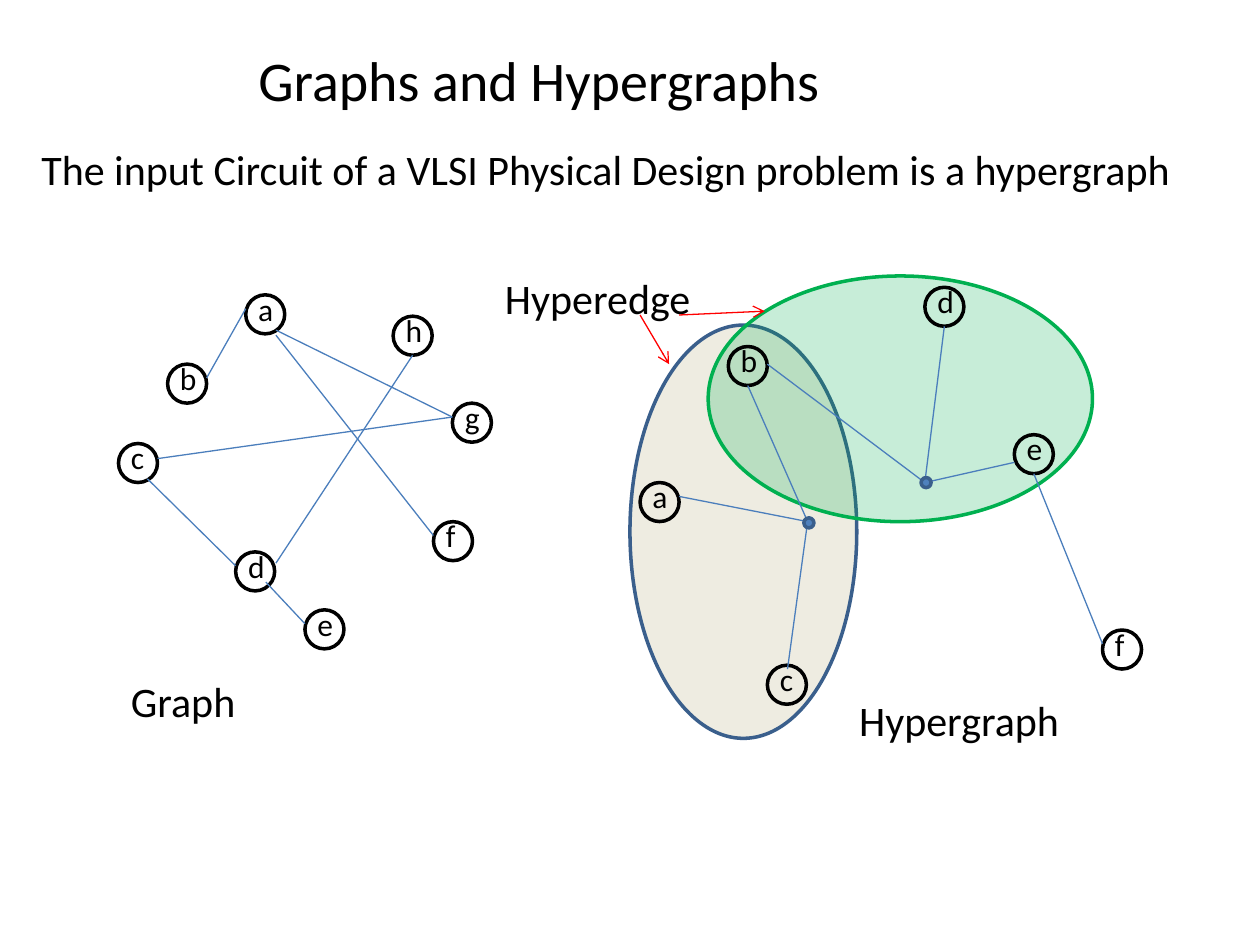
from typing import NamedTuple, Optional, Union

from pptx import Presentation
from pptx import util as u
from pptx.dml.color import RGBColor
from pptx.enum import shapes, text
from pptx.oxml.ns import qn
from lxml import etree

FONT = "Calibri"
BLACK, RED, GREEN = "000000", "FF0000", "00B050"
EDGE_BLUE, OUTLINE_BLUE, DOT_BLUE, SAND = "4B7EBC", "3A5F8C", "4F81BD", "EEECE1"
NODE_SIZE = 0.31
LABEL_RISE = 0.09
LABEL_HEIGHT = 0.4
DOT_SIZE = 0.08
TOP, LEFT, BOTTOM, RIGHT = range(4)


class Point(NamedTuple):
    x: float
    y: float


class Port(NamedTuple):
    node: str
    side: int


End = Union[Point, Port]


class Node(NamedTuple):
    name: str
    left: float
    top: float


class Edge(NamedTuple):
    start: End
    end: End


class Oval(NamedTuple):
    left: float
    top: float
    width: float
    height: float
    line: str
    fill: Optional[str] = None
    opacity: int = 100
    rotation: int = 0


class Caption(NamedTuple):
    words: str
    left: float
    top: float
    width: float
    height: float = 0.5
    size: int = 24


HYPEREDGES = [
    Oval(5, 2.58, 1.8, 3.28, OUTLINE_BLUE, SAND),
    Oval(6.17, 1.64, 1.95, 3.05, GREEN, GREEN, 22, 90),
]
CAPTIONS = [
    Caption("Hyperedge", 3.91, 2.11, 1.8),
    Caption("The input Circuit of a VLSI Physical Design problem is a hypergraph",
            0.23, 1.09, 9.53),
    Caption("Graph", 0.94, 5.31, 2.19),
    Caption("Hypergraph", 6.72, 5.46, 2.19),
]
POINTERS = [
    Edge(Point(5.08, 2.5), Point(5.31, 2.89)),
    Edge(Point(5.39, 2.5), Point(6.07, 2.47)),
]
GRAPH_NODES = [
    Node("a", 1.95, 2.34), Node("b", 1.33, 2.89), Node("h", 3.12, 2.51),
    Node("g", 3.59, 3.2), Node("c", 0.94, 3.52), Node("d", 1.87, 4.38),
    Node("e", 2.42, 4.84), Node("f", 3.44, 4.14),
]
GRAPH_EDGES = [
    Edge(Port("a", LEFT), Port("b", RIGHT)),
    Edge(Point(2.19, 2.62), Port("g", LEFT)),
    Edge(Point(2.19, 2.66), Port("f", LEFT)),
    Edge(Point(1.25, 3.64), Port("g", LEFT)),
    Edge(Point(1.17, 3.8), Port("d", LEFT)),
    Edge(Point(2.11, 4.62), Port("e", LEFT)),
    Edge(Point(2.19, 4.47), Port("h", BOTTOM)),
]
HYPERGRAPH_NODES = [
    Node("a", 5.08, 3.83), Node("b", 5.78, 2.75), Node("c", 6.09, 5.28),
    Node("d", 7.34, 2.28), Node("e", 8.05, 3.45), Node("f", 8.75, 5),
]
HUB_ABC, HUB_BDE = Point(6.41, 4.14), Point(7.34, 3.83)
HYPERGRAPH_EDGES = [
    Edge(Port("a", RIGHT), HUB_ABC),
    Edge(HUB_BDE, Point(8.05, 3.67)),
    Edge(Point(6.09, 2.89), HUB_BDE),
    Edge(HUB_ABC, Port("b", BOTTOM)),
    Edge(HUB_ABC, Point(6.25, 5.31)),
    Edge(HUB_BDE, Port("d", BOTTOM)),
    Edge(Port("e", BOTTOM), Port("f", LEFT)),
]
HUB_DOTS = [Point(6.38, 4.11), Point(7.31, 3.79)]


def color(value: str) -> RGBColor:
    return RGBColor.from_string(value)


def write(frame, words: str, size: int) -> None:
    frame.word_wrap = True
    frame.vertical_anchor = text.MSO_ANCHOR.TOP
    paragraph = frame.paragraphs[0]
    paragraph.alignment = text.PP_ALIGN.LEFT
    run = paragraph.add_run()
    run.text = words
    run.font.name = FONT
    run.font.size = u.Pt(size)
    run.font.color.rgb = color(BLACK)


def draw_caption(slide, caption: Caption):
    box = slide.shapes.add_textbox(
        u.Inches(caption.left), u.Inches(caption.top),
        u.Inches(caption.width), u.Inches(caption.height))
    write(box.text_frame, caption.words, caption.size)
    box.text_frame.auto_size = text.MSO_AUTO_SIZE.SHAPE_TO_FIT_TEXT
    return box


def draw_oval(slide, oval: Oval) -> None:
    shape = slide.shapes.add_shape(
        shapes.MSO_SHAPE.OVAL, u.Inches(oval.left), u.Inches(oval.top),
        u.Inches(oval.width), u.Inches(oval.height))
    shape.shadow.inherit = False
    shape.rotation = oval.rotation
    shape.line.color.rgb = color(oval.line)
    shape.line.width = u.Pt(2)
    if oval.fill is None:
        shape.fill.background()
        return
    shape.fill.solid()
    shape.fill.fore_color.rgb = color(oval.fill)
    if oval.opacity < 100:
        fill_color = shape.fill._xPr.find(qn("a:solidFill"))[0]
        etree.SubElement(fill_color, qn("a:alpha"), val=str(oval.opacity * 1000))


def draw_node(slide, node: Node):
    draw_oval(slide, Oval(node.left, node.top, NODE_SIZE, NODE_SIZE, BLACK))
    return draw_caption(slide, Caption(
        node.name, node.left, node.top - LABEL_RISE, NODE_SIZE, LABEL_HEIGHT, 18))


def draw_edge(slide, edge: Edge, labels: dict, line: str = EDGE_BLUE,
              arrow: bool = False) -> None:
    start, end = (
        Point(0, 0) if isinstance(tip, Port) else tip for tip in edge)
    connector = slide.shapes.add_connector(
        shapes.MSO_CONNECTOR.STRAIGHT, u.Inches(start.x), u.Inches(start.y),
        u.Inches(end.x), u.Inches(end.y))
    for tip, connect in zip(edge, (connector.begin_connect, connector.end_connect)):
        if isinstance(tip, Port):
            connect(labels[tip.node], tip.side)
    connector.line.color.rgb = color(line)
    connector.line.width = u.Pt(0.75)
    if arrow:
        etree.SubElement(connector.line._get_or_add_ln(), qn("a:tailEnd"), type="arrow")
    etree.SubElement(connector._element.spPr, qn("a:effectLst"))


def draw_network(slide, nodes: list[Node], edges: list[Edge]) -> None:
    labels = {node.name: draw_node(slide, node) for node in nodes}
    for edge in edges:
        draw_edge(slide, edge, labels)


def main() -> None:
    presentation = Presentation()
    presentation.slide_width, presentation.slide_height = u.Inches(10), u.Inches(7.5)
    slide = presentation.slides.add_slide(presentation.slide_layouts[5])

    title = slide.shapes.title
    title.left, title.top = u.Inches(1.95), u.Inches(0.31)
    title.width, title.height = u.Inches(5.08), u.Inches(0.64)
    write(title.text_frame, "Graphs and Hypergraphs", 32)
    title.text_frame.auto_size = text.MSO_AUTO_SIZE.SHAPE_TO_FIT_TEXT

    for hyperedge in HYPEREDGES:
        draw_oval(slide, hyperedge)
    for caption in CAPTIONS:
        draw_caption(slide, caption)
    for pointer in POINTERS:
        draw_edge(slide, pointer, {}, RED, True)
    draw_network(slide, GRAPH_NODES, GRAPH_EDGES)
    draw_network(slide, HYPERGRAPH_NODES, HYPERGRAPH_EDGES)
    for dot in HUB_DOTS:
        draw_oval(slide, Oval(dot.x, dot.y, DOT_SIZE, DOT_SIZE, OUTLINE_BLUE, DOT_BLUE))

    presentation.save("out.pptx")


if __name__ == "__main__":
    main()
